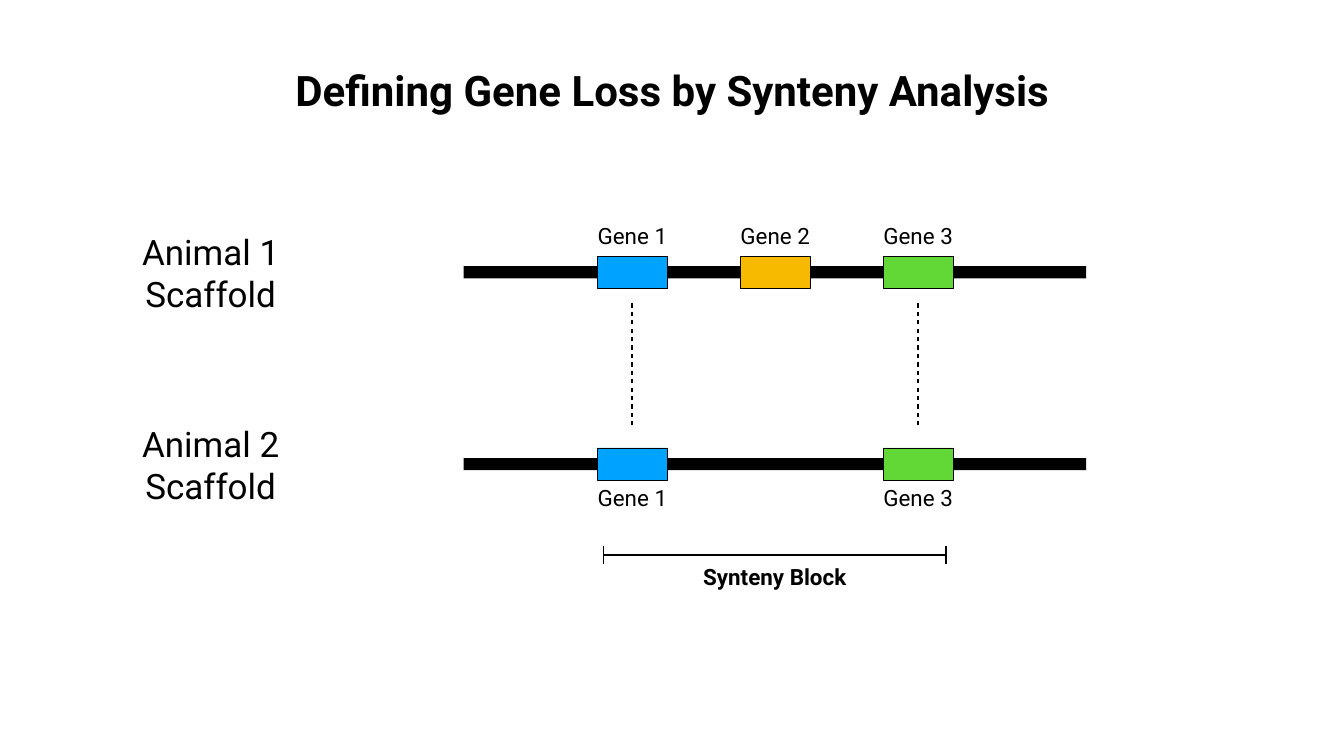
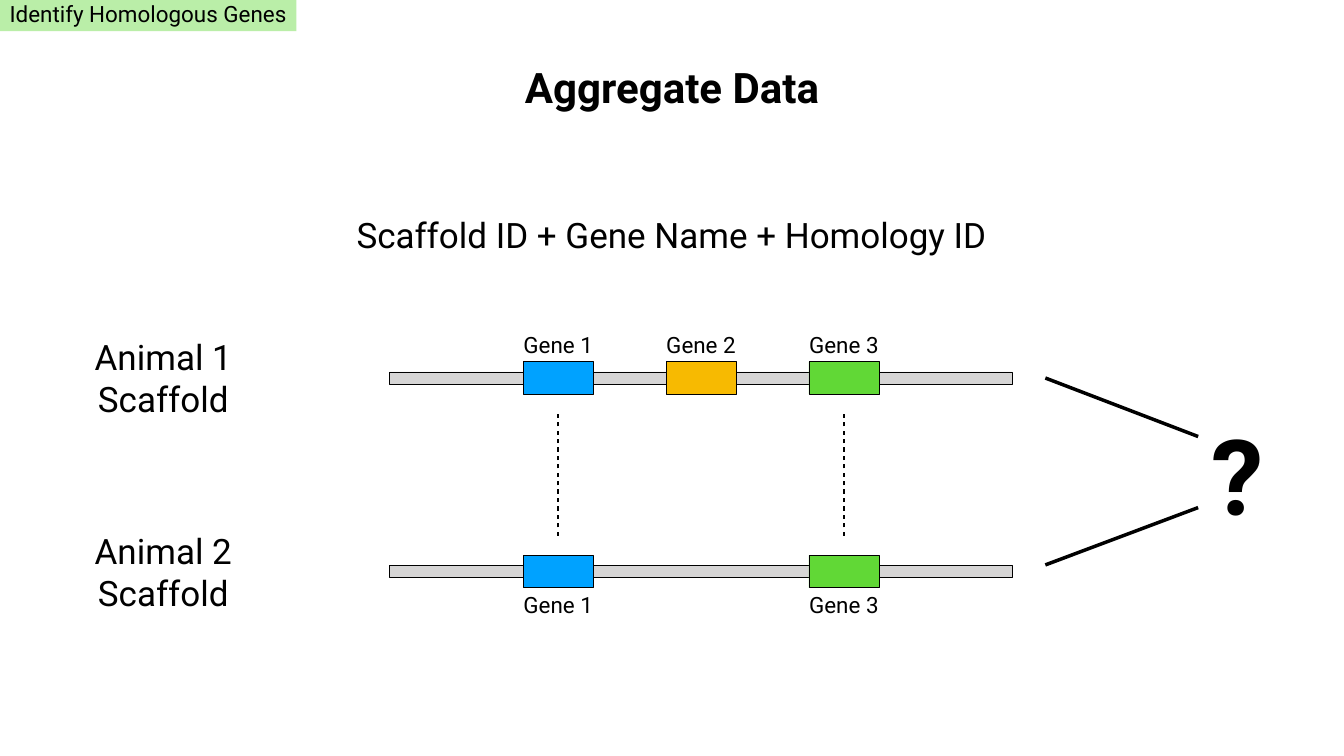
from dataclasses import dataclass

import pptx
import pptx.util
import pptx.dml.color
import pptx.enum.shapes
import pptx.enum.text
import pptx.oxml.ns
from lxml import etree
from pptx.util import Cm

FONT = "Roboto"
BLACK, GREY = "000000", "D6D5D5"
BLUE, GOLD, GREEN = "00A2FF", "F7BA01", "61D836"
INSET = 0.2
HEAD, LARGE, SMALL, HUGE = 60, 50, 32, 150
BAR_W, BAR_H = 31.37, 0.61
GENE_W, GENE_H = 3.53, 1.63
TAG_W, TAG_H = 4.06, 1.7
FIRST, STEP = 8.5, 7.2  # bar start to first gene centre, then gene to gene
NAME_W, NAME_H = 14.25, 2.46
COLORS = {1: BLUE, 2: GOLD, 3: GREEN}


@dataclass
class Box:
    left: float
    top: float
    width: float
    height: float

    def cm(self) -> tuple:
        return Cm(self.left), Cm(self.top), Cm(self.width), Cm(self.height)


@dataclass
class Track:
    name: str
    mid: float
    genes: tuple
    shift: float  # gene labels, relative to the bar's middle


@dataclass
class Map:
    """Two scaffolds and the dashed links between shared genes."""
    left: float
    names: float
    tracks: tuple
    links: tuple
    fill: str
    edge: float = 0


def paint(fmt, color: str) -> None:
    """Give a fill or a font a solid colour."""
    rgb = pptx.dml.color.RGBColor.from_string(color)
    if hasattr(fmt, "solid"):
        fmt.solid()
        fmt.fore_color.rgb = rgb
    else:
        fmt.color.rgb = rgb


def center(x: float, y: float, width: float, height: float) -> Box:
    """Box around a middle point."""
    return Box(x - width / 2, y - height / 2, width, height)


def write(shape, text: str, size: float, bold: bool = False) -> None:
    frame = shape.text_frame
    frame.word_wrap = False
    frame.auto_size = pptx.enum.text.MSO_AUTO_SIZE.SHAPE_TO_FIT_TEXT
    frame.vertical_anchor = pptx.enum.text.MSO_ANCHOR.MIDDLE
    frame.margin_left = frame.margin_right = Cm(INSET)
    frame.margin_top = frame.margin_bottom = Cm(INSET)
    para = frame.paragraphs[0]
    para.alignment = pptx.enum.text.PP_ALIGN.CENTER
    run = para.add_run()
    run.text = text
    run.font.name = FONT
    run.font.size = pptx.util.Pt(size)
    run.font.bold = bold
    paint(run.font, BLACK)


def label(slide, box: Box, text: str, size: float, bold: bool = False):
    shape = slide.shapes.add_textbox(*box.cm())
    write(shape, text, size, bold)
    return shape


def rect(slide, box: Box, fill: str, edge: float = 0):
    shape = slide.shapes.add_shape(
        pptx.enum.shapes.MSO_SHAPE.RECTANGLE, *box.cm())
    shape.shadow.inherit = False
    paint(shape.fill, fill)
    if edge:
        paint(shape.line.fill, BLACK)
        shape.line.width = pptx.util.Pt(edge)
    else:
        shape.line.fill.background()
    return shape


def line(slide, start: tuple, end: tuple, width: float,
         dashed: bool = False) -> None:
    link = slide.shapes.add_connector(
        pptx.enum.shapes.MSO_CONNECTOR.STRAIGHT,
        *(Cm(n) for n in start + end))
    paint(link.line.fill, BLACK)
    link.line.width = pptx.util.Pt(width)
    qn = pptx.oxml.ns.qn
    props = link.element.spPr
    if dashed:
        dash = etree.SubElement(props.find(qn("a:ln")), qn("a:custDash"))
        etree.SubElement(dash, qn("a:ds"), d="200000", sp="200000")
    etree.SubElement(props, qn("a:effectLst"))


def add_page(deck, title: str, box: Box):
    """Title-only slide with its title placed."""
    slide = deck.slides.add_slide(deck.slide_layouts[5])
    head = slide.shapes.title
    head.left, head.top, head.width, head.height = box.cm()
    write(head, title, HEAD, True)
    return slide


def name_track(slide, left: float, track: Track) -> None:
    """Scaffold name, wrapped to two lines in the left half of its box."""
    box = Box(left, track.mid - NAME_H / 2, NAME_W, NAME_H)
    frame = label(slide, box, track.name, LARGE).text_frame
    frame.auto_size = pptx.enum.text.MSO_AUTO_SIZE.NONE
    frame.word_wrap = True
    frame.margin_left = 0
    frame.margin_right = Cm(NAME_W / 2 - 0.1)


def draw_map(slide, plan: Map) -> None:
    def spot(gene: int) -> float:
        return plan.left + FIRST + (gene - 1) * STEP

    for track in plan.tracks:
        name_track(slide, plan.names, track)
        bar = Box(plan.left, track.mid - BAR_H / 2, BAR_W, BAR_H)
        rect(slide, bar, plan.fill, plan.edge)
        for gene in track.genes:
            x = spot(gene)
            rect(slide, center(x, track.mid, GENE_W, GENE_H), COLORS[gene], 1)
            label(slide, center(x, track.mid + track.shift, TAG_W, TAG_H),
                  f"Gene {gene}", SMALL)
    top, base = plan.links
    for gene in (1, 3):
        line(slide, (spot(gene), base), (spot(gene), top), 3, True)


def tracks(upper: float, lower: float, lift: float) -> tuple:
    return (Track("Animal 1 Scaffold", upper, (1, 2, 3), -lift),
            Track("Animal 2 Scaffold", lower, (1, 3), 1.69))


def add_loss(deck) -> None:
    slide = add_page(deck, "Defining Gene Loss by Synteny Analysis",
                     Box(13.51, 3.05, 40.74, 2.95))
    draw_map(slide, Map(23.37, 7.01, tracks(13.72, 23.39, 1.84),
                        (15.14, 21.44), BLACK))
    left, right, y, tick = 30.42, 47.68, 27.97, 0.43
    line(slide, (left, y), (right, y), 2)
    for x in (left, right):
        line(slide, (x, y + tick), (x, y - tick), 2)
    label(slide, Box(35, 28.19, 8.1, 1.75), "Synteny Block", SMALL, True)


def add_data(deck) -> None:
    slide = add_page(deck, "Aggregate Data", Box(25.73, 2.9, 16.28, 2.95))
    label(slide, Box(17.42, 10.59, 32.87, 2.46),
          "Scaffold ID + Gene Name + Homology ID", LARGE)
    step = rect(slide, Box(0, -0.18, 14.94, 1.75), GREEN)
    qn = pptx.oxml.ns.qn
    tint = step.element.spPr.find(qn("a:solidFill"))[0]
    etree.SubElement(tint, qn("a:alpha"), val="43000")
    write(step, "Identify Homologous Genes", SMALL)
    draw_map(slide, Map(19.63, 4.62, tracks(19.05, 28.8, 1.71),
                        (20.68, 27), GREY, 1))
    label(slide, Box(60.68, 20.5, 3.38, 6.71), "?", HUGE, True)
    for start, end in ((28.47, 25.58), (19.05, 22)):
        line(slide, (52.68, start), (60.38, end), 5)


def main() -> None:
    deck = pptx.Presentation()
    deck.slide_width, deck.slide_height = Cm(67.73), Cm(38.1)
    add_loss(deck)
    add_data(deck)
    deck.save("out.pptx")


if __name__ == "__main__":
    main()
